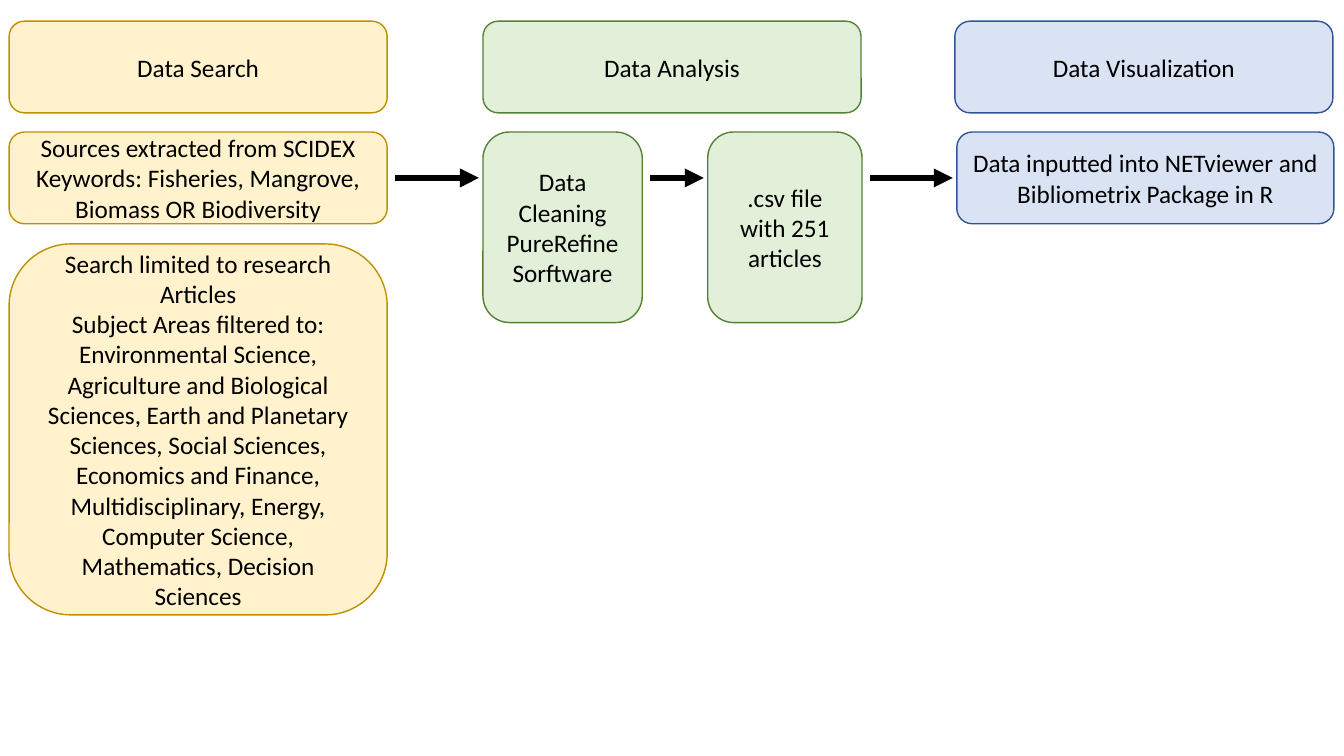
from pptx import Presentation
from pptx.util import Inches, Pt
from pptx.dml.color import RGBColor as RGB
from pptx.enum.shapes import MSO_SHAPE as SHAPE, MSO_CONNECTOR as LINK
from pptx.enum.text import PP_ALIGN as ALIGN, MSO_ANCHOR as ANCHOR
from pptx.oxml.ns import qn
from lxml.etree import SubElement

# Content: title, tint, then boxes as (left, row, width, height, paragraphs)
STAGES = [
    ("Data Search", "gold", 0.09, [
        (0.09, 1, 3.75, 0.91, [
            "Sources extracted from SCIDEX",
            "Keywords: Fisheries, Mangrove, Biomass OR Biodiversity"]),
        (0.09, 2, 3.75, 3.68, [
            "Search limited to research Articles",
            "Subject Areas filtered to: Environmental Science, "
            "Agriculture and Biological Sciences, Earth and Planetary "
            "Sciences, Social Sciences, Economics and Finance, "
            "Multidisciplinary, Energy, Computer Science, Mathematics, "
            "Decision Sciences"]),
    ]),
    ("Data Analysis", "green", 4.79, [
        (4.79, 1, 1.58, 1.89, ["Data Cleaning PureRefine Sorftware"]),
        (7.02, 1, 1.53, 1.89, [".csv file with 251 articles"]),
    ]),
    ("Data Visualization", "blue", 9.47, [
        (9.49, 1, 3.74, 0.91, [
            "Data inputted into NETviewer and Bibliometrix Package in R"]),
    ]),
]

THEME = {
    "gold": ("FFF2CC", "BF9000"),
    "green": ("E2F0D9", "548235"),
    "blue": ("DAE3F3", "2F5597"),
    "ink": "000000", "font": "Calibri", "size": 18,
    "edge": 1, "arrow": 4.5,
}

# Layout
ROWS = (0.21, 1.31, 2.42)
HEAD_W, HEAD_H = 3.75, 0.91
GAP_OUT, GAP_IN = 0.08, 0.04


def color(name):
    return RGB.from_string(name)


def add_box(slide, tint, left, row, width, height, paras):
    box = slide.shapes.add_shape(
        SHAPE.ROUNDED_RECTANGLE,
        *map(Inches, (left, ROWS[row], width, height)))
    fill, edge = THEME[tint]
    box.shadow.inherit = False
    box.fill.solid()
    box.fill.fore_color.rgb = color(fill)
    box.line.color.rgb = color(edge)
    box.line.width = Pt(THEME["edge"])
    frame = box.text_frame
    frame.word_wrap = True
    frame.vertical_anchor = ANCHOR.MIDDLE
    for i, text in enumerate(paras):
        para = frame.add_paragraph() if i else frame.paragraphs[0]
        para.alignment = ALIGN.CENTER
        run = para.add_run()
        run.text = text
        run.font.name = THEME["font"]
        run.font.size = Pt(THEME["size"])
        run.font.color.rgb = color(THEME["ink"])


def add_arrow(slide, start, end, y):
    link = slide.shapes.add_connector(
        LINK.STRAIGHT, *map(Inches, (start, y, end, y)))
    link.line.color.rgb = color(THEME["ink"])
    link.line.width = Pt(THEME["arrow"])
    SubElement(link.line._get_or_add_ln(), qn("a:tailEnd"), type="triangle")
    SubElement(link._element.spPr, qn("a:effectLst"))


def main():
    deck = Presentation()
    deck.slide_width, deck.slide_height = Inches(13.33), Inches(7.5)
    slide = deck.slides.add_slide(deck.slide_layouts[6])

    # Stage headings and their boxes
    for title, tint, left, boxes in STAGES:
        add_box(slide, tint, left, 0, HEAD_W, HEAD_H, [title])
        for box in boxes:
            add_box(slide, tint, *box)

    # Arrows between neighbours in the first row of boxes
    steps = [box for *_, boxes in STAGES for box in boxes if box[1] == 1]
    mid = ROWS[1] + HEAD_H / 2
    for a, b in zip(steps, steps[1:]):
        add_arrow(slide, a[0] + a[2] + GAP_OUT, b[0] - GAP_IN, mid)

    deck.save("out.pptx")


if __name__ == "__main__":
    main()
